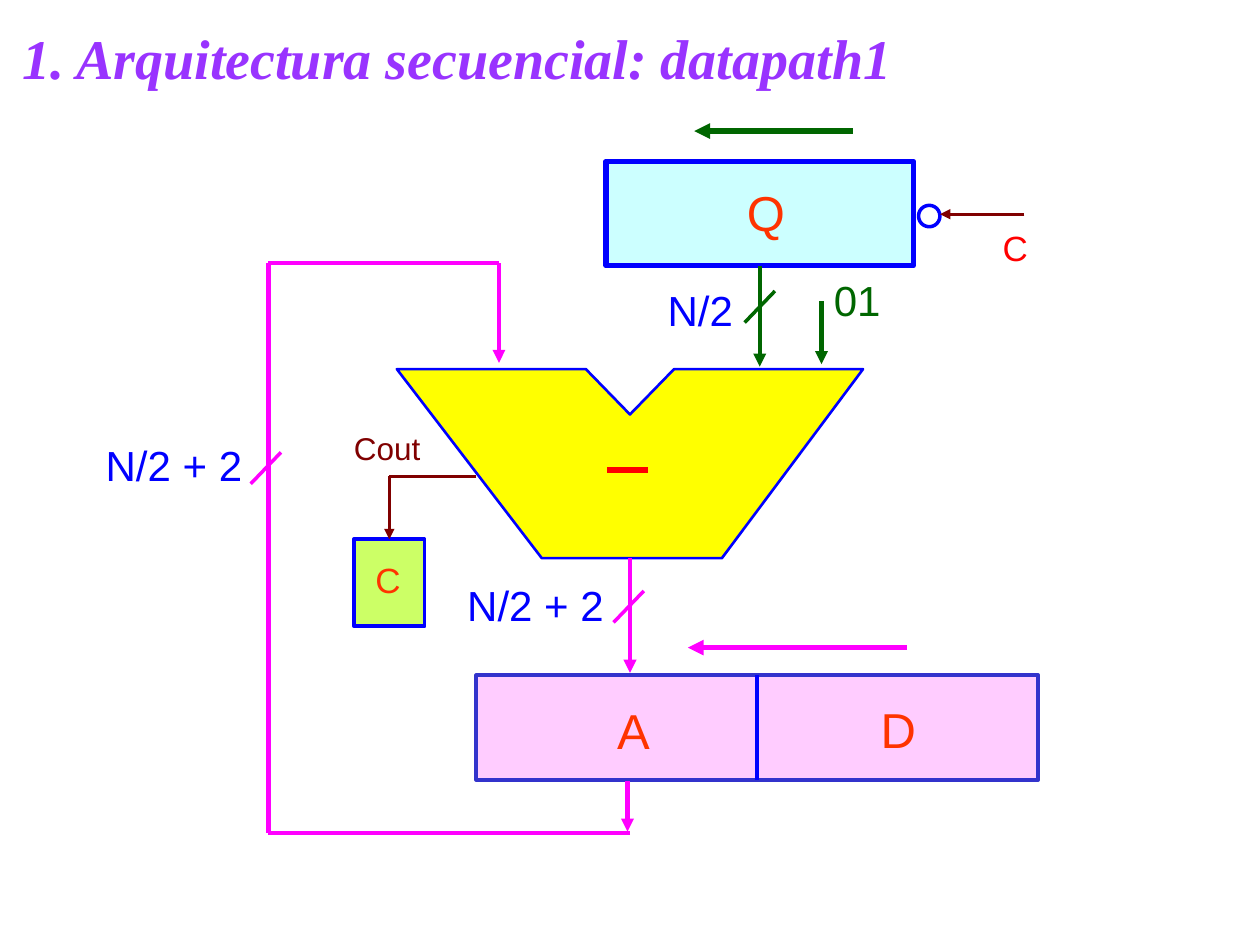
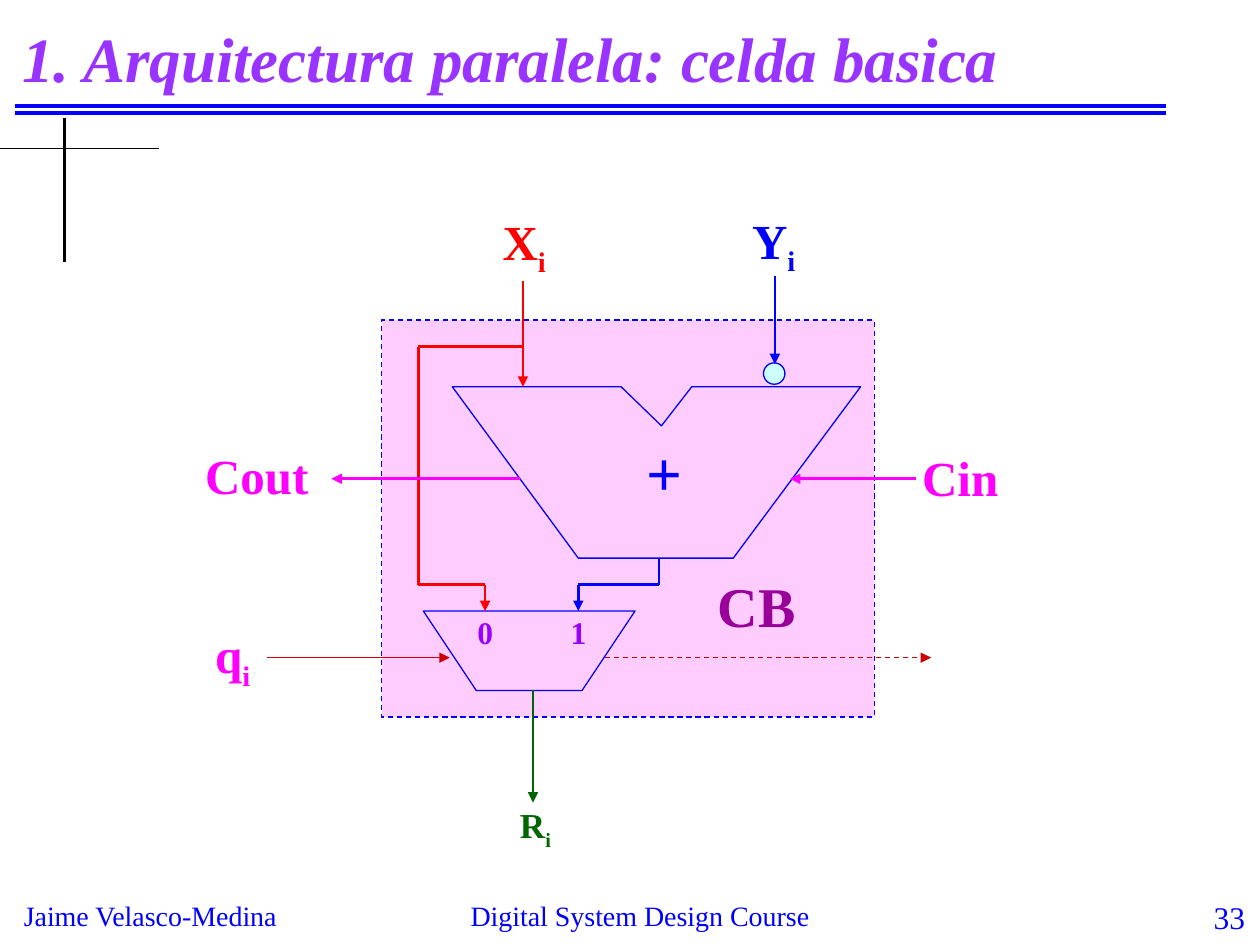
from itertools import pairwise

from lxml import etree
from pptx import Presentation
from pptx import util as u
from pptx.dml.color import RGBColor
from pptx.enum import dml, shapes, text
from pptx.oxml.ns import qn

PX = 9144  # EMU per px, 100 px to the inch

BLACK = RGBColor(0x00, 0x00, 0x00)
WHITE = RGBColor(0xFF, 0xFF, 0xFF)
BLUE = RGBColor(0x00, 0x00, 0xFF)
INDIGO = RGBColor(0x33, 0x33, 0xCC)
RED = RGBColor(0xFF, 0x00, 0x00)
DARK_RED = RGBColor(0xCC, 0x00, 0x00)
MAROON = RGBColor(0x80, 0x00, 0x00)
ORANGE = RGBColor(0xFF, 0x33, 0x00)
GREEN = RGBColor(0x00, 0x66, 0x00)
LIME = RGBColor(0xCC, 0xFF, 0x66)
YELLOW = RGBColor(0xFF, 0xFF, 0x00)
CYAN = RGBColor(0xCC, 0xFF, 0xFF)
PINK = RGBColor(0xFF, 0xCC, 0xFF)
MAGENTA = RGBColor(0xFF, 0x00, 0xFF)
PURPLE = RGBColor(0x99, 0x00, 0x99)
VIOLET = RGBColor(0x99, 0x00, 0xFF)
TITLE_COLOR = RGBColor(0x99, 0x33, 0xFF)

SANS = "Arial"
SERIF = "Times New Roman"
LEFT, CENTER, RIGHT = text.PP_ALIGN.LEFT, text.PP_ALIGN.CENTER, text.PP_ALIGN.RIGHT
RECTANGLE = shapes.MSO_SHAPE.RECTANGLE
OVAL = shapes.MSO_SHAPE.OVAL
TOP, BOTTOM = 0, 2


class Diagram:
    """Holds the presentation, its style and the slide being drawn."""

    def __init__(self):
        self.presentation = Presentation()
        self.presentation.slide_width = 1000 * PX
        self.presentation.slide_height = 750 * PX
        self.slide = None
        self.font, self.bold = SANS, False

    def new_slide(self, title, title_size, font, bold):
        """Start a slide; font and bold apply to its labels."""
        self.slide = self.presentation.slides.add_slide(self.presentation.slide_layouts[6])
        self.font, self.bold = font, bold
        self.label(8, 8, 917, 75, title, title_size, TITLE_COLOR, font=SERIF,
                   bold=True, italic=True, anchor=text.MSO_ANCHOR.MIDDLE)

    def bands_and_footer(self, number):
        for y in (84, 90):
            self.line((12, y), (925, y), BLUE, 2.25)
        self.line((51, 94), (51, 208), BLACK, 1.5)
        self.line((0, 118), (126, 118), BLACK, 0.75)
        for x, width, words, size, align in (
            (9, 235, "Jaime Velasco-Medina", 16, LEFT),
            (333, 350, "Digital System Design Course", 16, CENTER),
            (929, 69, number, 18, RIGHT),
        ):
            self.label(x, 708, width, 35, words, size, BLUE, align=align, bold=False)

    def label(self, x, y, width, height, words, size, color, subscript="", align=LEFT,
              font=None, bold=None, italic=False, anchor=text.MSO_ANCHOR.TOP):
        box = self.slide.shapes.add_textbox(x * PX, y * PX, width * PX, height * PX)
        frame = box.text_frame
        frame.word_wrap = True
        frame.vertical_anchor = anchor
        paragraph = frame.paragraphs[0]
        paragraph.alignment = align
        for part in filter(None, (words, subscript)):
            run = paragraph.add_run()
            run.text = part
            run.font.name = font or self.font
            run.font.size = u.Pt(size)
            run.font.bold = self.bold if bold is None else bold
            run.font.italic = italic
            run.font.color.rgb = color
        if subscript:
            run._r.get_or_add_rPr().set("baseline", "-25000")

    def paint(self, shape, fill, color, weight):
        shape.shadow.inherit = False
        if fill is None:
            shape.fill.background()
        else:
            shape.fill.solid()
            shape.fill.fore_color.rgb = fill
        shape.line.color.rgb = color
        shape.line.width = u.Pt(weight)
        return shape

    def block(self, kind, x, y, width, height, fill, color, weight):
        shape = self.slide.shapes.add_shape(kind, x * PX, y * PX, width * PX, height * PX)
        return self.paint(shape, fill, color, weight)

    def outline(self, points, fill, color, weight):
        builder = self.slide.shapes.build_freeform(*points[0], scale=PX)
        builder.add_line_segments(points[1:], close=True)
        return self.paint(builder.convert_to_shape(), fill, color, weight)

    def line(self, start, end, color, weight, arrow=False, dashed=False):
        connector = self.slide.shapes.add_connector(
            shapes.MSO_CONNECTOR.STRAIGHT, *(value * PX for value in (*start, *end)))
        connector.line.color.rgb = color
        connector.line.width = u.Pt(weight)
        if dashed:
            connector.line.dash_style = dml.MSO_LINE.DASH
        if arrow:
            etree.SubElement(connector.line._get_or_add_ln(), qn("a:tailEnd"), type="triangle")
        etree.SubElement(connector._element.spPr, qn("a:effectLst"))
        return connector

    def route(self, points, color, weight):
        """Draw a bent wire with an arrowhead at its end; return the last piece."""
        for start, end in pairwise(points):
            piece = self.line(start, end, color, weight, arrow=end == points[-1])
        return piece

    def bus_mark(self, x, y, color):
        self.line((x - 12, y + 12), (x + 12, y - 13), color, 2)


def draw_sequential(diagram):
    diagram.new_slide("1. Arquitectura secuencial: datapath1", 32, SANS, False)

    diagram.outline([(315, 293), (465, 293), (500, 329), (535, 293), (685, 293),
                     (573, 443), (430, 443)], YELLOW, BLUE, 1.5)
    diagram.line((514, 373), (482, 373), RED, 3)
    register_ad = diagram.block(RECTANGLE, 378, 536, 446, 83, PINK, INDIGO, 2.25)
    register_q = diagram.block(RECTANGLE, 481, 128, 244, 83, CYAN, BLUE, 3)
    carry = diagram.block(RECTANGLE, 281, 428, 56, 69, LIME, BLUE, 2.25)
    diagram.block(OVAL, 729, 163, 17, 17, WHITE, BLUE, 2)

    divider = diagram.line((601, 536), (601, 619), BLUE, 2.25)
    divider.begin_connect(register_ad, TOP)
    divider.end_connect(register_ad, BOTTOM)
    q_output = diagram.line((603, 211), (603, 291), GREEN, 2.5, arrow=True)
    q_output.begin_connect(register_q, BOTTOM)
    carry_wire = diagram.route([(378, 378), (309, 378), (309, 428)], MAROON, 1.5)
    carry_wire.end_connect(carry, TOP)
    diagram.route([(500, 661), (213, 661), (213, 209), (396, 209), (396, 288)], MAGENTA, 2.5)

    for start, end, color, weight in (
        ((652, 239), (652, 289), GREEN, 2.5),
        ((500, 443), (500, 534), MAGENTA, 2.5),
        ((498, 620), (498, 660), MAGENTA, 2.5),
        ((813, 170), (746, 170), MAROON, 1.5),
        ((677, 104), (551, 104), GREEN, 3),
        ((720, 514), (546, 514), MAGENTA, 3),
    ):
        diagram.line(start, end, color, weight, arrow=True)

    for x, y, color in ((211, 372, MAGENTA), (603, 244, GREEN), (499, 482, MAGENTA)):
        diagram.bus_mark(x, y, color)

    for x, y, width, words, size, color in (
        (520, 221, 94, "N/2", 24, BLUE),
        (361, 455, 149, "N/2 + 2", 24, BLUE),
        (74, 344, 149, "N/2 + 2", 24, BLUE),
        (652, 213, 62, "01", 24, GREEN),
        (480, 551, 55, "A", 28, ORANGE),
        (689, 550, 55, "D", 28, ORANGE),
        (583, 140, 55, "Q", 28, ORANGE),
        (288, 438, 45, "C", 20, ORANGE),
        (786, 175, 45, "C", 20, RED),
        (271, 336, 80, "Cout", 18, MAROON),
    ):
        diagram.label(x, y, width, 50, words, size, color)


def draw_parallel(diagram):
    diagram.new_slide("1. Arquitectura paralela: celda basica", 36, SERIF, True)
    diagram.bands_and_footer("33")

    cell = diagram.block(RECTANGLE, 303, 254, 391, 315, PINK, BLUE, 0.75)
    cell.line.dash_style = dml.MSO_LINE.DASH
    diagram.outline([(359, 307), (493, 307), (525, 338), (549, 307), (683, 307),
                     (582, 443), (459, 443)], None, BLUE, 0.75)
    diagram.outline([(336, 485), (378, 548), (462, 548), (504, 485)], None, BLUE, 0.75)
    diagram.block(OVAL, 606, 288, 17, 17, CYAN, BLUE, 0.75)

    diagram.route([(523, 443), (523, 464), (459, 464), (459, 485)], BLUE, 1.5)
    diagram.route([(415, 275), (332, 275), (332, 464), (385, 464), (385, 485)], RED, 1.5)
    for start, end, color, weight, dashed in (
        ((415, 223), (415, 307), RED, 1.5, False),
        ((615, 219), (615, 289), BLUE, 1.5, False),
        ((423, 548), (423, 637), GREEN, 1.5, False),
        ((413, 380), (263, 380), MAGENTA, 1.5, False),
        ((727, 380), (627, 380), MAGENTA, 1.5, False),
        ((212, 522), (357, 522), DARK_RED, 0.75, False),
        ((480, 522), (739, 522), DARK_RED, 0.75, True),
    ):
        diagram.line(start, end, color, weight, arrow=True, dashed=dashed)

    for x, y, width, words, subscript, size, color, align in (
        (722, 350, 121, "Cin", "", 28, MAGENTA, LEFT),
        (153, 349, 133, "Cout", "", 28, MAGENTA, LEFT),
        (161, 491, 91, "q", "i", 28, MAGENTA, LEFT),
        (369, 163, 94, "X", "i", 28, RED, CENTER),
        (567, 162, 94, "Y", "i", 28, BLUE, CENTER),
        (378, 633, 94, "R", "i", 20, GREEN, CENTER),
        (369, 482, 40, "0", "", 18, VIOLET, LEFT),
        (443, 482, 40, "1", "", 18, VIOLET, LEFT),
        (560, 449, 107, "CB", "", 32, PURPLE, LEFT),
        (482, 339, 91, "+", "", 36, BLUE, CENTER),
    ):
        diagram.label(x, y, width, 60, words, size, color, subscript, align)


def main():
    diagram = Diagram()
    draw_sequential(diagram)
    draw_parallel(diagram)
    diagram.presentation.save("out.pptx")


if __name__ == "__main__":
    main()
